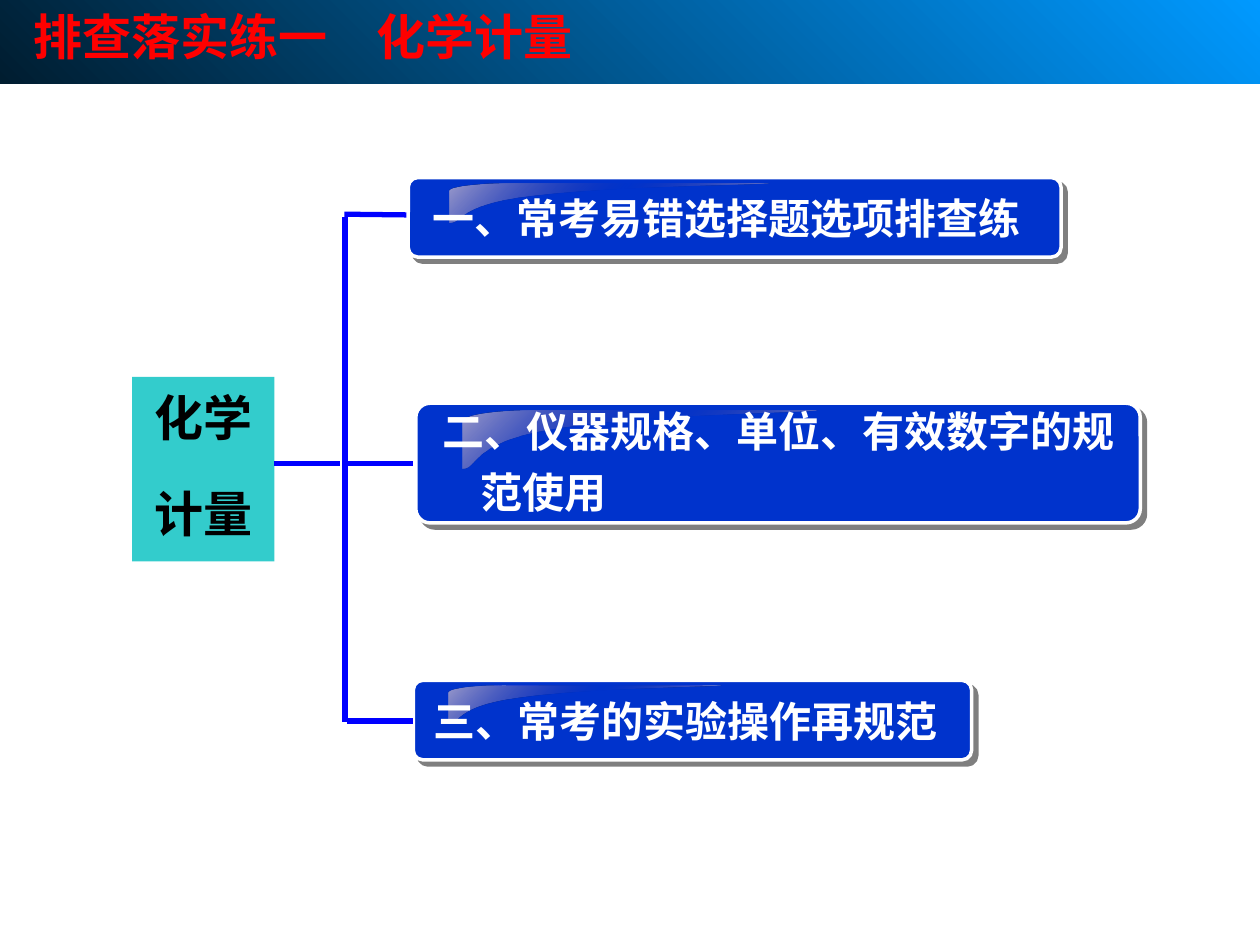
from dataclasses import dataclass

from lxml import etree
from pptx import Presentation
from pptx.dml.color import RGBColor
from pptx.enum.shapes import MSO_CONNECTOR, MSO_SHAPE
from pptx.enum.text import MSO_ANCHOR, MSO_AUTO_SIZE, PP_ALIGN
from pptx.oxml import parse_xml
from pptx.oxml.ns import qn
from pptx.util import Pt

RECT = MSO_SHAPE.RECTANGLE
ROUNDED = MSO_SHAPE.ROUNDED_RECTANGLE
STRAIGHT = MSO_CONNECTOR.STRAIGHT
MIDDLE, TOP = MSO_ANCHOR.MIDDLE, MSO_ANCHOR.TOP
LEFT, CENTER = PP_ALIGN.LEFT, PP_ALIGN.CENTER
NO_FIT = MSO_AUTO_SIZE.NONE

SKY = RGBColor(0x00, 0x99, 0xFF)
NAVY = RGBColor(0x00, 0x1D, 0x30)
RED = RGBColor(0xFF, 0x00, 0x00)
TEAL = RGBColor(0x33, 0xCC, 0xCC)
BLACK = RGBColor(0x00, 0x00, 0x00)
WHITE = RGBColor(0xFF, 0xFF, 0xFF)
ROYAL = RGBColor(0x00, 0x33, 0xCC)
BLUE = RGBColor(0x00, 0x00, 0xFF)
GLOSS = RGBColor(0x9B, 0x9B, 0xCC)
INDIGO = RGBColor(0x33, 0x33, 0x99)

SANS, SERIF = "Noto Sans CJK SC", "Times New Roman"
NS = "http://schemas.openxmlformats.org/drawingml/2006/main"

GLOSS_START = (0.196, 0)
GLOSS_CURVES = [
    ((0.196, 0), (0.087, 0), (0, 0.085), (0, 0.19)),
    ((0, 0.98), (0.045, 1), (0.017, 0.51), (0.27, 0.3)),
    ((0.27, 0.3), (0.52, 0.06), (1, 0.04), (0.985, 0)),
]


@dataclass(frozen=True)
class Rect:
    x: float
    y: float
    w: float
    h: float

    def emu(self) -> tuple:
        return Pt(self.x), Pt(self.y), Pt(self.w), Pt(self.h)


@dataclass(frozen=True)
class Topic:
    lines: tuple
    box: Rect
    gloss: Rect
    text: Rect


@dataclass(frozen=True)
class Line:
    x1: float
    y1: float
    x2: float
    y2: float


TOPICS = [
    Topic(("二、仪器规格、单位、有效数字的规", "范使用"), Rect(237.6, 230.4, 414, 68.4),
          Rect(264.2, 234.7, 205.9, 33.8), Rect(245.5, 222.5, 411.8, 76.3)),
    Topic(("一、常考易错选择题选项排查练",), Rect(233.3, 101.5, 373, 45.4),
          Rect(257, 105.1, 185.8, 22.3), Rect(239.8, 100.8, 366.5, 41.8)),
    Topic(("三、常考的实验操作再规范",), Rect(236.2, 388.8, 319, 45.4),
          Rect(256.3, 391.7, 158.4, 22.3), Rect(240.5, 388.1, 355, 41.8)),
]
LINES = [
    Line(156.5, 265, 194.5, 265),
    Line(197.2, 123.8, 197.2, 412.5),
    Line(196.8, 122.4, 232.2, 122.8),
    Line(198.7, 264.7, 236, 264.7),
    Line(198, 412, 236, 412),
]


def set_gradient(sp, stops: list, angle: int) -> None:
    sp.fill.solid()
    gs = "".join(
        f'<a:gs pos="{pos * 1000}"><a:srgbClr val="{color}">'
        f'<a:alpha val="{alpha * 1000}"/></a:srgbClr></a:gs>'
        for pos, color, alpha in stops)
    spPr = sp._element.spPr
    spPr.replace(spPr.find(qn("a:solidFill")), parse_xml(
        f'<a:gradFill xmlns:a="{NS}" rotWithShape="1"><a:gsLst>{gs}</a:gsLst>'
        f'<a:lin ang="{angle * 60000}" scaled="0"/></a:gradFill>'))


def add_box(shapes, kind, rect: Rect, color: RGBColor):
    sp = shapes.add_shape(kind, *rect.emu())
    sp.shadow.inherit = False
    sp.fill.solid()
    sp.fill.fore_color.rgb = color
    sp.line.fill.background()
    return sp


def write(tf, lines: tuple, size: float, color: RGBColor, font: str = SANS,
          align=LEFT, spacing: float = 1.0, anchor=MIDDLE, wrap: bool = True) -> None:
    tf.auto_size = NO_FIT
    tf.word_wrap = wrap
    tf.vertical_anchor = anchor
    tf.text = "\n".join(lines)
    for p in tf.paragraphs:
        p.alignment = align
        p.line_spacing = spacing
        for r in p.runs:
            r.font.size = Pt(size)
            r.font.bold = True
            r.font.color.rgb = color
            r.font.name = font
            etree.SubElement(r._r.rPr, qn("a:ea")).set("typeface", SANS)


def add_gloss(shapes, rect: Rect) -> None:
    def place(x: float, y: float) -> tuple:
        return Pt(rect.x + x * rect.w), Pt(rect.y + y * rect.h)

    points = []
    for a, b, c, d in GLOSS_CURVES:
        for t in (i / 12 for i in range(13)):
            weights = ((1 - t) ** 3, 3 * t * (1 - t) ** 2, 3 * t * t * (1 - t), t ** 3)
            points.append(place(*(sum(w * q[k] for w, q in zip(weights, (a, b, c, d)))
                                  for k in (0, 1))))
    builder = shapes.build_freeform(*place(*GLOSS_START))
    builder.add_line_segments(points, close=True)
    sp = builder.convert_to_shape()
    sp.shadow.inherit = False
    sp.line.fill.background()
    set_gradient(sp, [(0, GLOSS, 100), (50, INDIGO, 0), (100, GLOSS, 100)], 225)


def add_topic(shapes, topic: Topic) -> None:
    sp = add_box(shapes, ROUNDED, topic.box, ROYAL)
    sp.adjustments[0] = 0.119
    sp.line.color.rgb = WHITE
    sp.line.width = Pt(2)
    sp._element.spPr.find(qn("a:effectLst")).append(parse_xml(
        f'<a:outerShdw xmlns:a="{NS}" dist="{Pt(4.2)}" dir="2700000" algn="ctr" '
        'rotWithShape="0"><a:srgbClr val="000000"><a:alpha val="50000"/>'
        '</a:srgbClr></a:outerShdw>'))
    add_gloss(shapes, topic.gloss)
    tf = shapes.add_textbox(*topic.text.emu()).text_frame
    write(tf, topic.lines, 24, WHITE, spacing=1.2)
    for p in tf.paragraphs[1:]:
        p._p.get_or_add_pPr().set("marL", str(Pt(22)))


def add_line(shapes, line: Line) -> None:
    cx = shapes.add_connector(STRAIGHT, Pt(line.x1), Pt(line.y1), Pt(line.x2), Pt(line.y2))
    cx.line.color.rgb = BLUE
    cx.line.width = Pt(3)
    etree.SubElement(cx._element.spPr, qn("a:effectLst"))


def main() -> None:
    prs = Presentation()
    prs.slide_width, prs.slide_height = Pt(720), Pt(540)
    slide = prs.slides.add_slide(prs.slide_layouts[5])
    shapes = slide.shapes

    header = add_box(shapes, RECT, Rect(0, 0, 720, 48), SKY)
    set_gradient(header, [(0, SKY, 100), (100, NAVY, 100)], 135)
    shapes._spTree.insert(2, header._element)

    title = shapes.title
    title.left, title.top, title.width, title.height = Rect(12.2, 0, 328.3, 41).emu()
    write(title.text_frame, ("排查落实练一\u3000化学计量".replace("\u3000", "　"),), 28, RED, wrap=False)

    root = add_box(shapes, RECT, Rect(75.5, 215.3, 81.4, 105.6), TEAL)
    tf = root.text_frame
    tf.margin_top, tf.margin_bottom = Pt(3), Pt(11.5)
    write(tf, ("化学", "计量"), 28, BLACK, SERIF, CENTER, 1.1, TOP)
    tf.paragraphs[1].space_before = Pt(17.5)

    for topic in TOPICS:
        add_topic(shapes, topic)
    for line in LINES:
        add_line(shapes, line)

    prs.save("out.pptx")


if __name__ == "__main__":
    main()
